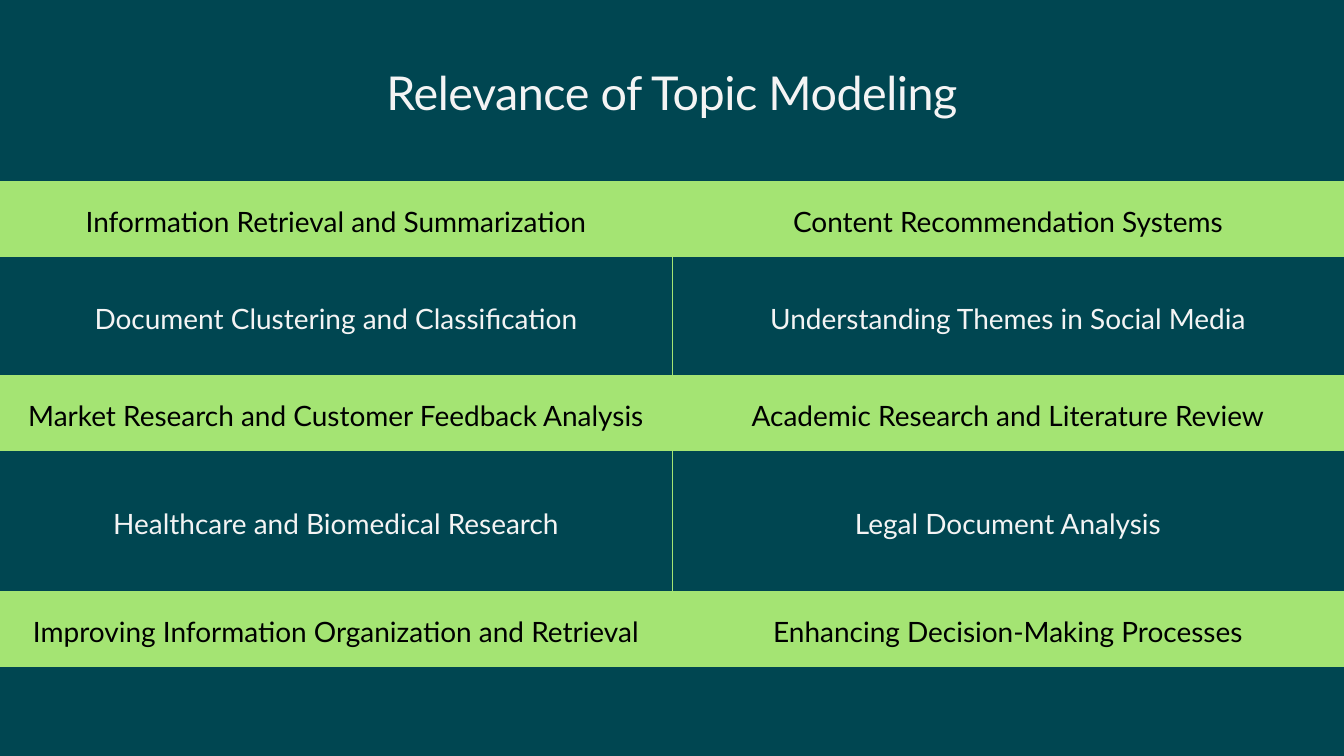
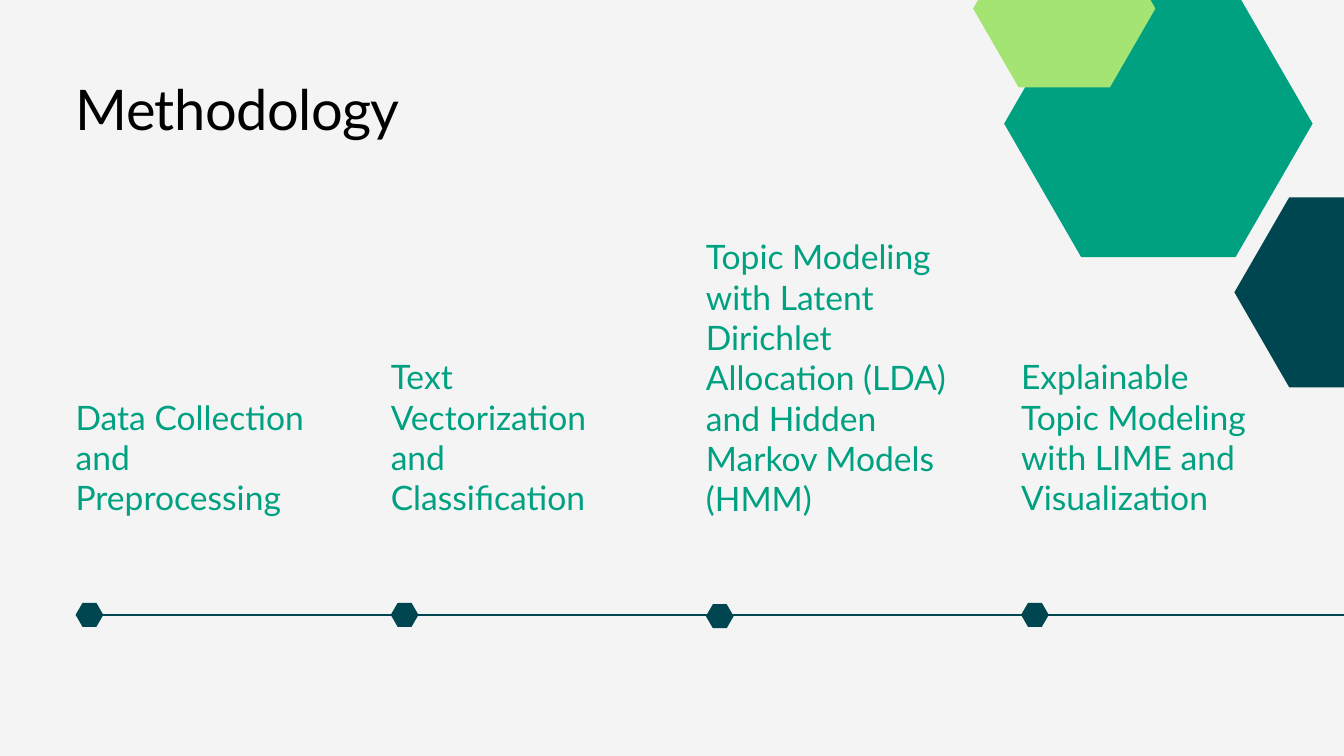
from dataclasses import dataclass
from math import cos, pi, sin
from typing import NamedTuple

from lxml import etree
from pptx import Presentation
from pptx import util as u
from pptx.dml.color import RGBColor
from pptx.enum import shapes, text
from pptx.oxml import ns

WIDE, TALL = u.Inches(20), u.Inches(11.25)
COLS, ROWS = 160, 90
EDGE = 9


@dataclass(frozen=True)
class Theme:
    font: str = "Lato"
    deep: str = "004651"
    lime: str = "A4E473"
    green: str = "00A181"
    pale: str = "F4F4F4"
    black: str = "000000"
    head: float = 50
    lead: float = 60
    step: float = 36
    cell: float = 30
    rule: float = 1.5
    thin: float = 0.75


class Box(NamedTuple):
    left: float
    top: float
    wide: float
    tall: float


class Hex(NamedTuple):
    mid: float
    row: float
    wide: float
    color: str


class Band(NamedTuple):
    tall: float
    left: str
    right: str


class Step(NamedTuple):
    words: str
    lines: int
    drop: float = 0


LOOK = Theme()

BANDS = [
    Band(8.9, "Information Retrieval and Summarization", "Content Recommendation Systems"),
    Band(14.24, "Document Clustering and Classification", "Understanding Themes in Social Media"),
    Band(8.9, "Market Research and Customer Feedback Analysis", "Academic Research and Literature Review"),
    Band(16.8, "Healthcare and Biomedical Research", "Legal Document Analysis"),
    Band(8.9, "Improving Information Organization and Retrieval", "Enhancing Decision-Making Processes"),
]

STEPS = [
    Step("Data Collection and Preprocessing", 3),
    Step("Text Vectorization and Classification", 4),
    Step("Topic Modeling with Latent Dirichlet Allocation (LDA) and Hidden Markov Models (HMM)", 7, 0.16),
    Step("Explainable Topic Modeling with LIME and Visualization", 4),
]

DECOR = [
    Hex(160, 34.8, 26.1, LOOK.deep),
    Hex(137.9, 14.72, 36.72, LOOK.green),
    Hex(126.7, 1.02, 21.7, LOOK.lime),
]


def across(cols: float) -> int:
    return round(WIDE * cols / COLS)


def down(rows: float) -> int:
    return round(TALL * rows / ROWS)


def place(box: Box) -> tuple[int, int, int, int]:
    return across(box.left), down(box.top), across(box.wide), down(box.tall)


def write(frame, words: str, *, size: float, color: str, lead: float,
          align=text.PP_ALIGN.LEFT, track: float = 0) -> None:
    para = frame.paragraphs[0]
    para.alignment = align
    para.line_spacing = u.Pt(lead)
    para.space_before = u.Pt(0)
    run = para.add_run()
    run.text = words
    run.font.name = LOOK.font
    run.font.size = u.Pt(size)
    run.font.color.rgb = RGBColor.from_string(color)
    if track:
        run._r.get_or_add_rPr().set("spc", str(round(track * 100)))


def trim(frame) -> None:
    frame.margin_left = frame.margin_right = frame.margin_top = frame.margin_bottom = 0
    frame.word_wrap = True
    frame.auto_size = text.MSO_AUTO_SIZE.NONE
    frame.vertical_anchor = text.MSO_ANCHOR.TOP


def begin(deck, back: str, words: str, box: Box, **form):
    slide = deck.slides.add_slide(deck.slide_layouts[5])
    slide.background.fill.solid()
    slide.background.fill.fore_color.rgb = RGBColor.from_string(back)
    title = slide.shapes.title
    title.left, title.top, title.width, title.height = place(box)
    trim(title.text_frame)
    write(title.text_frame, words, **form)
    return slide


def border(cell, side: str, shown: bool) -> None:
    line = etree.SubElement(cell._tc.get_or_add_tcPr(), ns.qn(f"a:ln{side}"))
    if shown:
        line.set("w", str(u.Pt(LOOK.thin)))
        fill = etree.SubElement(line, ns.qn("a:solidFill"))
        etree.SubElement(fill, ns.qn("a:srgbClr"), val=LOOK.lime)
    else:
        line.set("w", "0")
        etree.SubElement(line, ns.qn("a:noFill"))


def draw_bands(slide, top: float) -> None:
    box = Box(0, top, COLS, sum(band.tall for band in BANDS))
    table = slide.shapes.add_table(len(BANDS), 2, *place(box)).table
    table.first_row = table.horz_banding = False
    for row, band in enumerate(BANDS):
        table.rows[row].height = down(band.tall)
        back, ink = (LOOK.deep, LOOK.pale) if row % 2 else (LOOK.lime, LOOK.black)
        for col, words in enumerate((band.left, band.right)):
            cell = table.cell(row, col)
            for side, shown in (("L", col > 0), ("R", True), ("T", row > 0), ("B", True)):
                border(cell, side, shown)
            cell.fill.solid()
            cell.fill.fore_color.rgb = RGBColor.from_string(back)
            cell.vertical_anchor = text.MSO_ANCHOR.MIDDLE
            cell.margin_left = cell.margin_right = across(1)
            cell.margin_top = cell.margin_bottom = down(1)
            write(cell.text_frame, words, size=LOOK.cell, color=ink, lead=42,
                  align=text.PP_ALIGN.CENTER)


def draw_hex(slide, hexa: Hex) -> None:
    reach = hexa.wide / 2
    points = [(across(hexa.mid + reach * cos(turn * pi / 3)),
               down(hexa.row + reach * sin(turn * pi / 3))) for turn in range(6)]
    pen = slide.shapes.build_freeform(*points[0], scale=1.0)
    pen.add_line_segments(points[1:], close=True)
    shape = pen.convert_to_shape()
    shape.shadow.inherit = False
    shape.fill.solid()
    shape.fill.fore_color.rgb = RGBColor.from_string(hexa.color)
    shape.line.fill.background()


def draw_rule(slide, start: float, row: float) -> None:
    line = slide.shapes.add_connector(shapes.MSO_CONNECTOR.STRAIGHT,
                                      across(start), down(row), WIDE, down(row))
    line.line.color.rgb = RGBColor.from_string(LOOK.deep)
    line.line.width = u.Pt(LOOK.rule)
    etree.SubElement(line._element.spPr, ns.qn("a:effectLst"))


def draw_steps(slide, row: float, base: float) -> None:
    wide, tall, dot = 29.44, 4.77, 3.3
    pitch = (COLS - 2 * EDGE - wide) / (len(STEPS) - 1)
    draw_rule(slide, EDGE + dot / 2, row)
    for spot, step in enumerate(STEPS):
        left = EDGE + spot * pitch
        high = step.lines * tall
        note = slide.shapes.add_textbox(*place(Box(left, base - high, wide, high)))
        trim(note.text_frame)
        write(note.text_frame, step.words, size=LOOK.step, color=LOOK.green, lead=43.2)
        draw_hex(slide, Hex(left + dot / 2, row + step.drop, dot, LOOK.deep))


def main() -> None:
    deck = Presentation()
    deck.slide_width, deck.slide_height = WIDE, TALL

    uses = begin(deck, LOOK.deep, "Relevance of Topic Modeling",
                 Box(EDGE, 7.1, COLS - 2 * EDGE, 7.1), size=LOOK.head, color=LOOK.pale,
                 lead=65, align=text.PP_ALIGN.CENTER, track=-0.5)
    draw_bands(uses, 21.6)

    method = begin(deck, LOOK.pale, "Methodology", Box(EDGE, 8.9, 49.8, 8.1),
                   size=LOOK.lead, color=LOOK.black, lead=72, track=-0.6)
    draw_steps(method, 73.2, 61.5)
    for hexa in DECOR:
        draw_hex(method, hexa)

    deck.save("out.pptx")


if __name__ == "__main__":
    main()
